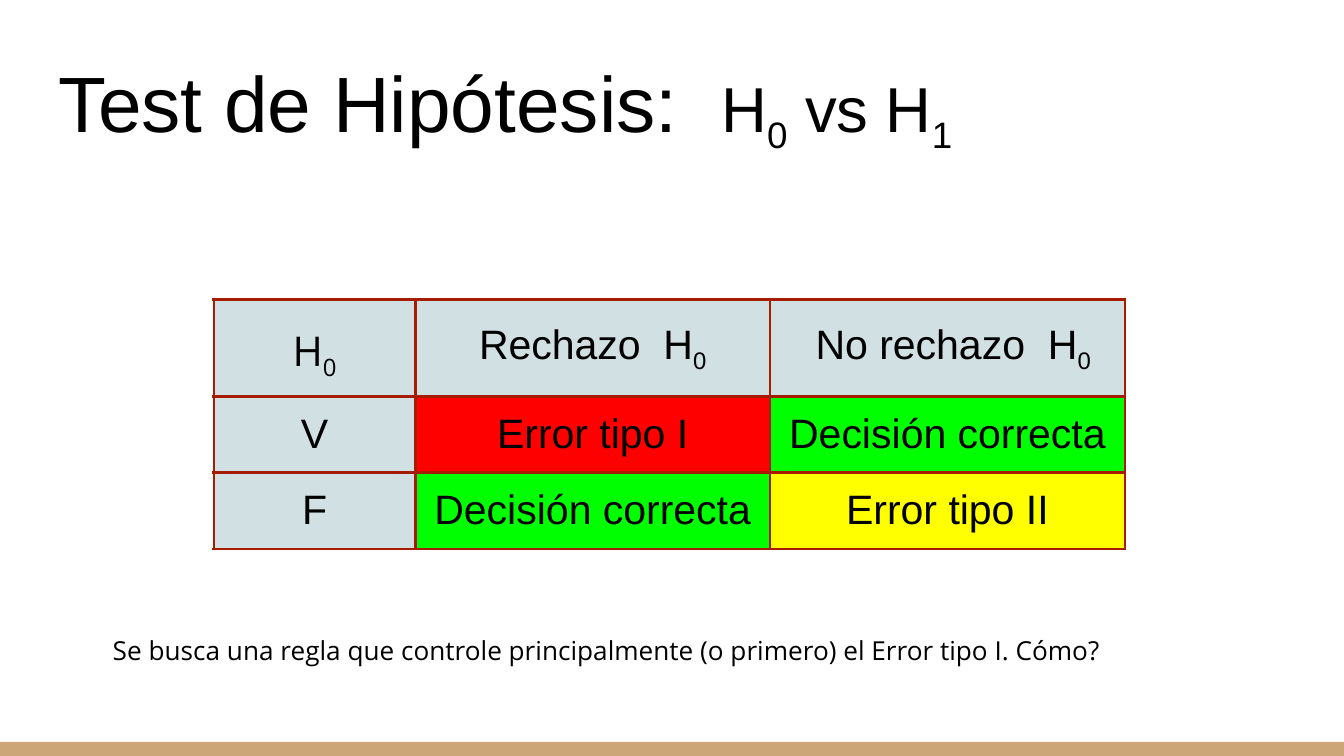
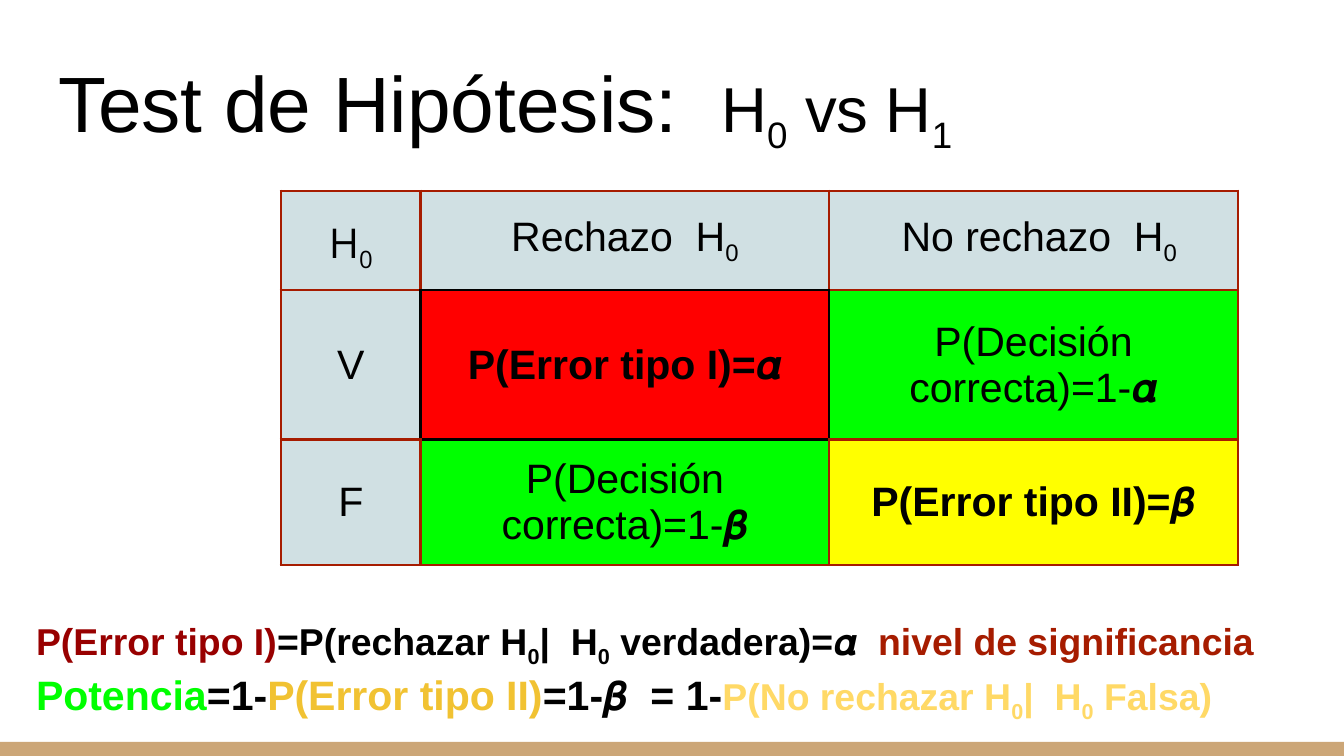
"""Build two slides on hypothesis testing: decision table and error probabilities."""
from lxml.etree import SubElement
from pptx import Presentation
from pptx.dml.color import RGBColor
from pptx.enum.shapes import MSO_SHAPE
from pptx.enum.text import MSO_ANCHOR, PP_ALIGN
from pptx.oxml.ns import qn
from pptx.util import Inches, Pt

BLACK, TAN, BRICK, GREY = "000000", "CCA677", "A61C00", "D0E0E3"
RED, GREEN, YELLOW = "FF0000", "00FF00", "FFFF00"
DARK_RED, GOLD, PALE_GOLD = "980000", "F1C232", "FFD966"
FILLS = [[GREY, GREY, GREY], [GREY, RED, GREEN], [GREY, GREEN, YELLOW]]
HEADINGS = ["H_0", "Rechazo  H_0", " No rechazo  H_0"]
MARGIN = Inches(0.1)


def write(paragraph, text, size, color=BLACK, bold=False, font="Arial"):
    """Add text to a paragraph; the character after each underscore is a subscript."""
    first, *rest = text.split("_")
    pieces = [(first, False)]
    for part in rest:
        pieces += [(part[0], True), (part[1:], False)]
    for piece, subscript in pieces:
        if not piece:
            continue
        run = paragraph.add_run()
        run.text = piece
        run.font.size = Pt(size)
        run.font.name = font
        run.font.bold = bold
        run.font.color.rgb = RGBColor.from_string(color)
        if subscript:
            run._r.get_or_add_rPr().set("baseline", "-25000")


def add_lines(slide, left, top, width, height, lines, anchor=MSO_ANCHOR.TOP):
    """Place a wrapping text box with one paragraph per list of runs."""
    frame = slide.shapes.add_textbox(
        Inches(left), Inches(top), Inches(width), Inches(height)).text_frame
    frame.word_wrap = True
    frame.vertical_anchor = anchor
    frame.margin_left = frame.margin_right = MARGIN
    frame.margin_top = frame.margin_bottom = MARGIN
    for index, runs in enumerate(lines):
        paragraph = frame.add_paragraph() if index else frame.paragraphs[0]
        for run in runs:
            write(paragraph, *run)


pages = [
    {
        "corner": (1.59, 2.23),
        "columns": [1.5, 2.64, 2.64],
        "rows": [0.72, 0.54, 0.54],
        "body": [["V", "Error tipo I", "Decisión correcta"],
                 ["F", "Decisión correcta", "Error tipo II"]],
        "black_sides": {},
        "bold_errors": False,
        "note_place": (0.74, 4.62, 8.41, 0.74),
        "note": [[("Se busca una regla que controle principalmente (o primero) "
                   "el Error tipo I. Cómo?", 14, BLACK, False, "Open Sans")]],
    },
    {
        "corner": (2.09, 1.42),
        "columns": [1.04, 3.04, 3.04],
        "rows": [0.74, 1.11, 0.88],
        "body": [["V", "P(Error tipo I)=𝜶", "P(Decisión correcta)=1-𝜶"],
                 ["F", "P(Decisión correcta)=1-𝜷", "P(Error tipo II)=𝜷"]],
        "black_sides": {(0, 1): "B", (1, 0): "R", (1, 1): "LRTB",
                        (1, 2): "L", (2, 1): "T"},
        "bold_errors": True,
        "note_place": (0.17, 4.5, 9.76, 1.03),
        "note": [
            [("P(Error tipo I)", 20, DARK_RED, True),
             ("=P(rechazar H_0|  H_0 verdadera)=𝜶  ", 20, BLACK, True),
             ("nivel de significancia", 20, BRICK, True)],
            [("Potencia", 22, GREEN, True),
             ("=1-", 22, BLACK, True),
             ("P(Error tipo II)", 22, GOLD, True),
             ("=1-𝜷  = 1-", 22, BLACK, True),
             ("P(No rechazar H_0|  H_0 Falsa)", 20, PALE_GOLD, True)],
        ],
    },
]

deck = Presentation()
deck.slide_width = Inches(10)
deck.slide_height = deck.slide_width * 9 // 16

for page in pages:
    slide = deck.slides.add_slide(deck.slide_layouts[6])
    band = slide.shapes.add_shape(
        MSO_SHAPE.RECTANGLE, 0, Inches(5.52), deck.slide_width, Inches(0.11))
    band.shadow.inherit = False
    band.fill.solid()
    band.fill.fore_color.rgb = RGBColor.from_string(TAN)
    band.line.fill.background()

    add_lines(slide, 0.34, 0.35, 9.32, 0.91,
              [[("Test de Hipótesis:  ", 42), ("H_0 vs H_1", 34),
                (" ", 24, BLACK, False, "Open Sans")]], MSO_ANCHOR.BOTTOM)

    left, top = map(Inches, page["corner"])
    grid = slide.shapes.add_table(
        3, 3, left, top, Inches(sum(page["columns"])), Inches(sum(page["rows"]))).table
    grid.first_row = grid.horz_banding = False
    for column, size in zip(grid.columns, page["columns"]):
        column.width = Inches(size)
    for row, size in zip(grid.rows, page["rows"]):
        row.height = Inches(size)

    for r, texts in enumerate([HEADINGS] + page["body"]):
        for c, text in enumerate(texts):
            cell = grid.cell(r, c)
            cell.vertical_anchor = MSO_ANCHOR.MIDDLE
            cell.margin_left = cell.margin_right = MARGIN
            cell.margin_top = cell.margin_bottom = MARGIN
            properties = cell._tc.get_or_add_tcPr()
            for side in "LRTB":
                black = side in page["black_sides"].get((r, c), "")
                border = SubElement(properties, qn(f"a:ln{side}"), w=str(Pt(1.5)))
                paint = SubElement(border, qn("a:solidFill"))
                SubElement(paint, qn("a:srgbClr"), val=BLACK if black else BRICK)
            cell.fill.solid()
            cell.fill.fore_color.rgb = RGBColor.from_string(FILLS[r][c])
            paragraph = cell.text_frame.paragraphs[0]
            paragraph.alignment = PP_ALIGN.CENTER
            corner = r == c == 0
            if corner:
                paragraph.line_spacing = 1.15
                paragraph.space_after = Pt(16)
            write(paragraph, text, 22, BLACK, page["bold_errors"] and "Error" in text,
                  "Open Sans" if corner else "Arial")

    add_lines(slide, *page["note_place"], page["note"])

deck.save("out.pptx")
